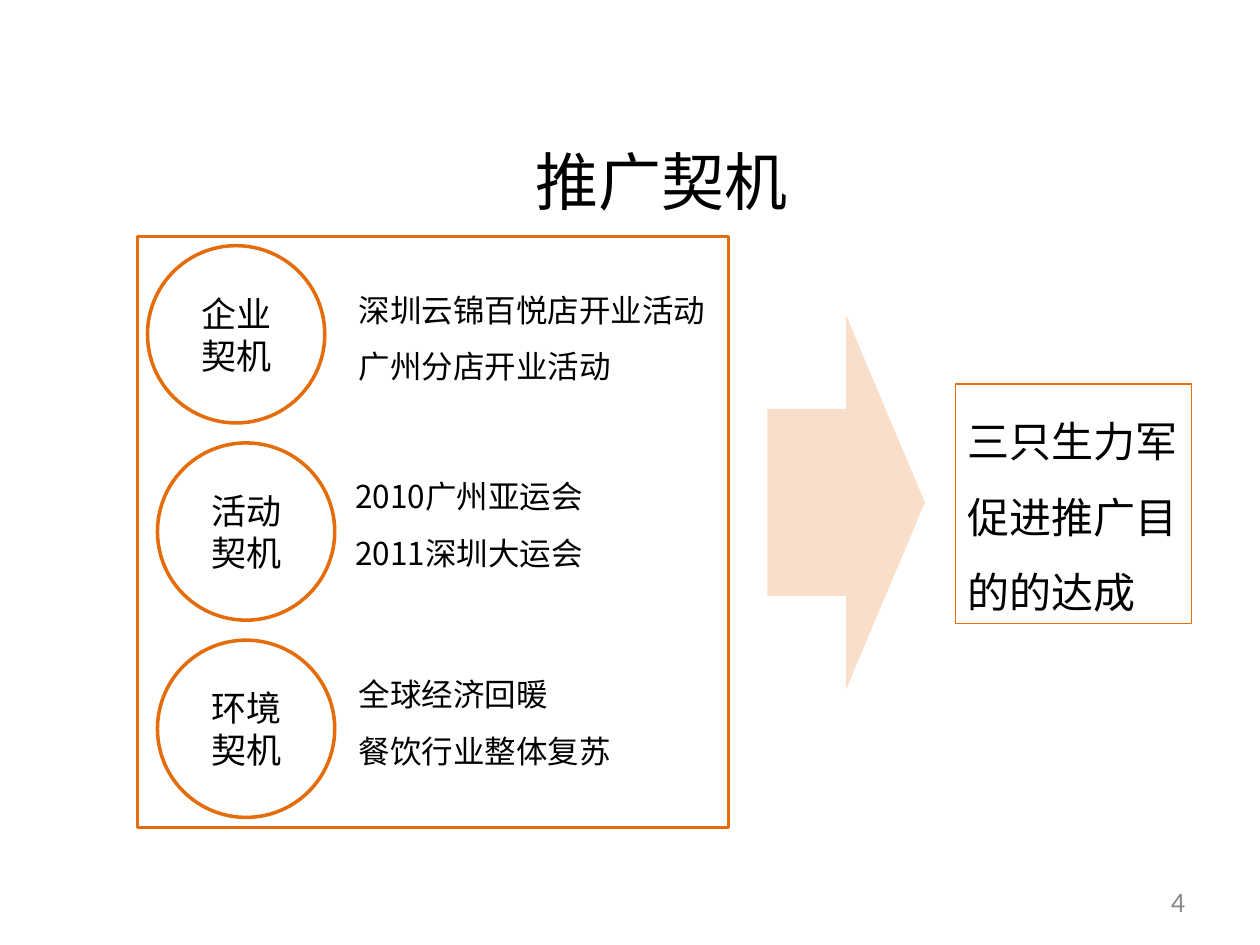
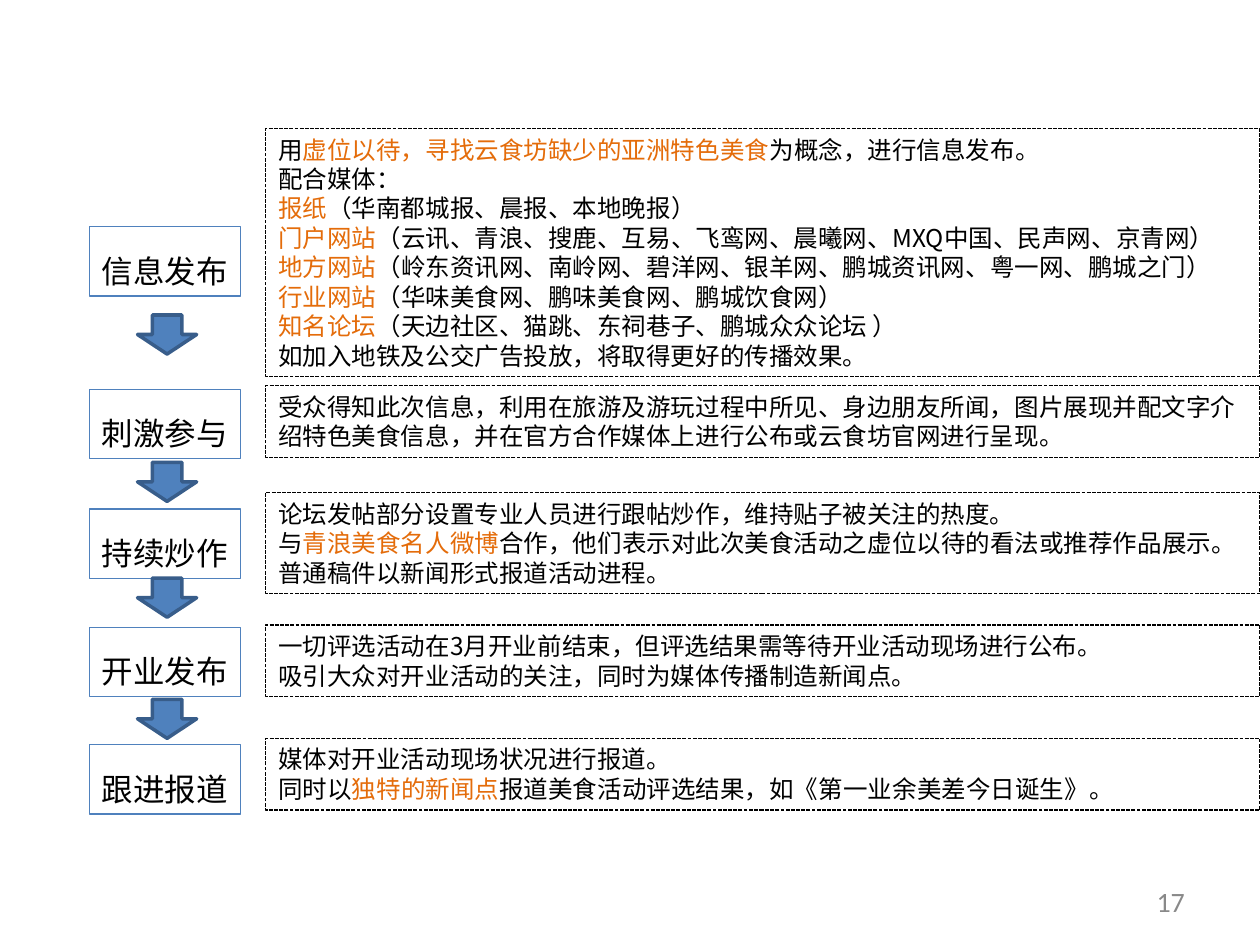
from typing import NamedTuple

from lxml.etree import SubElement
from pptx import Presentation
from pptx.dml.color import RGBColor
from pptx.enum.dml import MSO_LINE
from pptx.enum.shapes import MSO_SHAPE
from pptx.enum.text import MSO_ANCHOR, MSO_AUTO_SIZE, PP_ALIGN
from pptx.oxml.ns import qn
from pptx.util import Pt

COLORS = {
    "accent": "E46C0A",
    "text": "000000",
    "number": "898989",
    "step": "4F81BD",
    "step_edge": "385D8A",
}
CJK_FONT = "Noto Sans CJK SC"
NUMBER_FONT = "Calibri"


class Box(NamedTuple):
    left: float
    top: float
    width: float
    height: float

    def inner(self, left, top, width, height):
        return Box(self.left + left, self.top + top, width, height)

    def lengths(self):
        return [Pt(value) for value in self]


NUMBER_BOX = Box(516.2, 500.5, 168, 28.8)
TITLE_BOX = Box(298.8, 56.2, 158.4, 72)
PANEL_BOX = Box(78.5, 135.2, 337.7, 337.7)
BIG_ARROW_BOX = Box(438.5, 180.2, 90, 213.8)
RESULT_BOX = Box(545.8, 219.5, 135, 137)
FLOW_BOX = Box(51.2, 73.4, 668.8, 392)

CIRCLE_SIZE = 101.3
CIRCLE_PITCH = 112.7
# circle text, circle left, lines, left, top, width of the lines within the panel
OPPORTUNITIES = [
    ("企业契机", 5.8, ["深圳云锦百悦店开业活动", "广州分店开业活动"], 119.5, 16.6, 212.4),
    ("活动契机", 11.5, ["2010广州亚运会", "2011深圳大运会"], 117.4, 123.1, 149.8),
    ("环境契机", 11.5, ["全球经济回暖", "餐饮行业整体复苏"], 119.5, 236.2, 158.4),
]

# label, label top, arrow top, detail top, detail height, lines with |accent| parts
STEPS = [
    ("信息发布", 56.2, 106.6, 0, 141.8, [
        "用|虚位以待，寻找云食坊缺少的亚洲特色美食|为概念，进行信息发布。",
        "配合媒体：",
        "|报纸|（华南都城报、晨报、本地晚报）",
        "|门户网站|（云讯、青浪、搜鹿、互易、飞鸾网、晨曦网、MXQ中国、民声网、京青网）",
        "|地方网站|（岭东资讯网、南岭网、碧洋网、银羊网、鹏城资讯网、粤一网、鹏城之门）",
        "|行业网站|（华味美食网、鹏味美食网、鹏城饮食网）",
        "|知名论坛|（天边社区、猫跳、东祠巷子、鹏城众众论坛 ）",
        "如加入地铁及公交广告投放，将取得更好的传播效果。",
    ]),
    ("刺激参与", 149, 190.8, 146.9, 41, [
        "受众得知此次信息，利用在旅游及游玩过程中所见、身边朋友所闻，图片展现并配文字介绍"
        "特色美食信息，并在官方合作媒体上进行公布或云食坊官网进行呈现。",
    ]),
    ("持续炒作", 217.4, 257, 208.1, 57.6, [
        "论坛发帖部分设置专业人员进行跟帖炒作，维持贴子被关注的热度。",
        "与|青浪美食名人微博|合作，他们表示对此次美食活动之虚位以待的看法或推荐作品展示。",
        "普通稿件以新闻形式报道活动进程。",
    ]),
    ("开业发布", 285.1, 326.2, 283.7, 41, [
        "一切评选活动在3月开业前结束，但评选结果需等待开业活动现场进行公布。",
        "吸引大众对开业活动的关注，同时为媒体传播制造新闻点。",
    ]),
    ("跟进报道", 352.1, None, 348.5, 41, [
        "媒体对开业活动现场状况进行报道。",
        "同时以|独特的新闻点|报道美食活动评选结果，如《第一业余美差今日诞生》。",
    ]),
]


def rgb(name):
    return RGBColor.from_string(COLORS[name])


def add_outline(page, kind, box, line=None, weight=0.75, fill=None):
    """Add a preset shape, without fill or line unless they are named."""
    shape = page.shapes.add_shape(kind, *box.lengths())
    shape.shadow.inherit = False
    if fill:
        shape.fill.solid()
        shape.fill.fore_color.rgb = rgb(fill)
    else:
        shape.fill.background()
    if line:
        shape.line.color.rgb = rgb(line)
        shape.line.width = Pt(weight)
    else:
        shape.line.fill.background()
    return shape


def write(shape, lines, size, color="text", font=CJK_FONT, spacing=None,
          align=PP_ALIGN.LEFT, anchor=MSO_ANCHOR.TOP, wrap=True, grow=True):
    """Fill a shape with paragraphs; parts between bars take the accent colour."""
    frame = shape.text_frame
    frame.word_wrap = wrap
    frame.auto_size = MSO_AUTO_SIZE.SHAPE_TO_FIT_TEXT if grow else MSO_AUTO_SIZE.NONE
    frame.vertical_anchor = anchor
    for index, line in enumerate(lines):
        para = frame.add_paragraph() if index else frame.paragraphs[0]
        para.alignment = align
        if spacing:
            para.line_spacing = spacing
        for position, part in enumerate(line.split("|")):
            if not part:
                continue
            span = para.add_run()
            span.text = part
            span.font.size = Pt(size)
            span.font.color.rgb = rgb("accent" if position % 2 else color)
            span.font.name = font
            SubElement(span.font._element, qn("a:ea"), typeface=font)


def add_label(page, box, lines, size, **style):
    write(page.shapes.add_textbox(*box.lengths()), lines, size, **style)


def add_page_number(page, number):
    add_label(page, NUMBER_BOX, [str(number)], 16, color="number", font=NUMBER_FONT,
              align=PP_ALIGN.RIGHT, anchor=MSO_ANCHOR.MIDDLE, grow=False)


def add_opportunity_panel(page, box):
    for index, (name, circle_left, lines, left, top, width) in enumerate(OPPORTUNITIES):
        circle_box = box.inner(circle_left, 5.2 + index * CIRCLE_PITCH,
                               CIRCLE_SIZE, CIRCLE_SIZE)
        circle = add_outline(page, MSO_SHAPE.OVAL, circle_box, "accent", 2)
        write(circle, [name], 20, align=PP_ALIGN.CENTER,
              anchor=MSO_ANCHOR.MIDDLE, grow=False)
        add_label(page, box.inner(left, top, width, 72), lines, 18,
                  spacing=1.5, wrap=False)
    add_outline(page, MSO_SHAPE.RECTANGLE, box, "accent", 2)


def add_big_arrow(page, box):
    arrow = add_outline(page, MSO_SHAPE.RIGHT_ARROW, box, fill="accent")
    color = arrow._element.spPr.find(qn("a:solidFill"))[0]
    SubElement(color, qn("a:alpha"), val="22000")


def add_result(page, box):
    result = add_outline(page, MSO_SHAPE.RECTANGLE, box, "accent")
    write(result, ["三只生力军促进推广目的的达成"], 24, spacing=1.5)


def add_step_flow(page, box):
    for name, label_top, arrow_top, detail_top, detail_height, lines in STEPS:
        label = add_outline(page, MSO_SHAPE.RECTANGLE,
                            box.inner(0, label_top, 86.4, 39.6), "step")
        write(label, [name], 18, spacing=1.5, wrap=False)
        if arrow_top is not None:
            add_outline(page, MSO_SHAPE.DOWN_ARROW,
                        box.inner(27.4, arrow_top, 33.8, 22.3), "step_edge", 2, "step")
        detail = add_outline(page, MSO_SHAPE.RECTANGLE,
                             box.inner(100.7, detail_top, 568.1, detail_height), "text")
        detail.line.dash_style = MSO_LINE.SQUARE_DOT
        write(detail, lines, 14)


def build_opportunity_slide(page):
    add_opportunity_panel(page, PANEL_BOX)
    add_label(page, TITLE_BOX, ["推广契机"], 36, spacing=1.5, wrap=False)
    add_big_arrow(page, BIG_ARROW_BOX)
    add_result(page, RESULT_BOX)


def build_flow_slide(page):
    add_step_flow(page, FLOW_BOX)


def main():
    deck = Presentation()
    deck.slide_width, deck.slide_height = Pt(720), Pt(540)
    for number, build in ((4, build_opportunity_slide), (17, build_flow_slide)):
        page = deck.slides.add_slide(deck.slide_layouts[6])
        build(page)
        add_page_number(page, number)
    deck.save("out.pptx")


if __name__ == "__main__":
    main()
